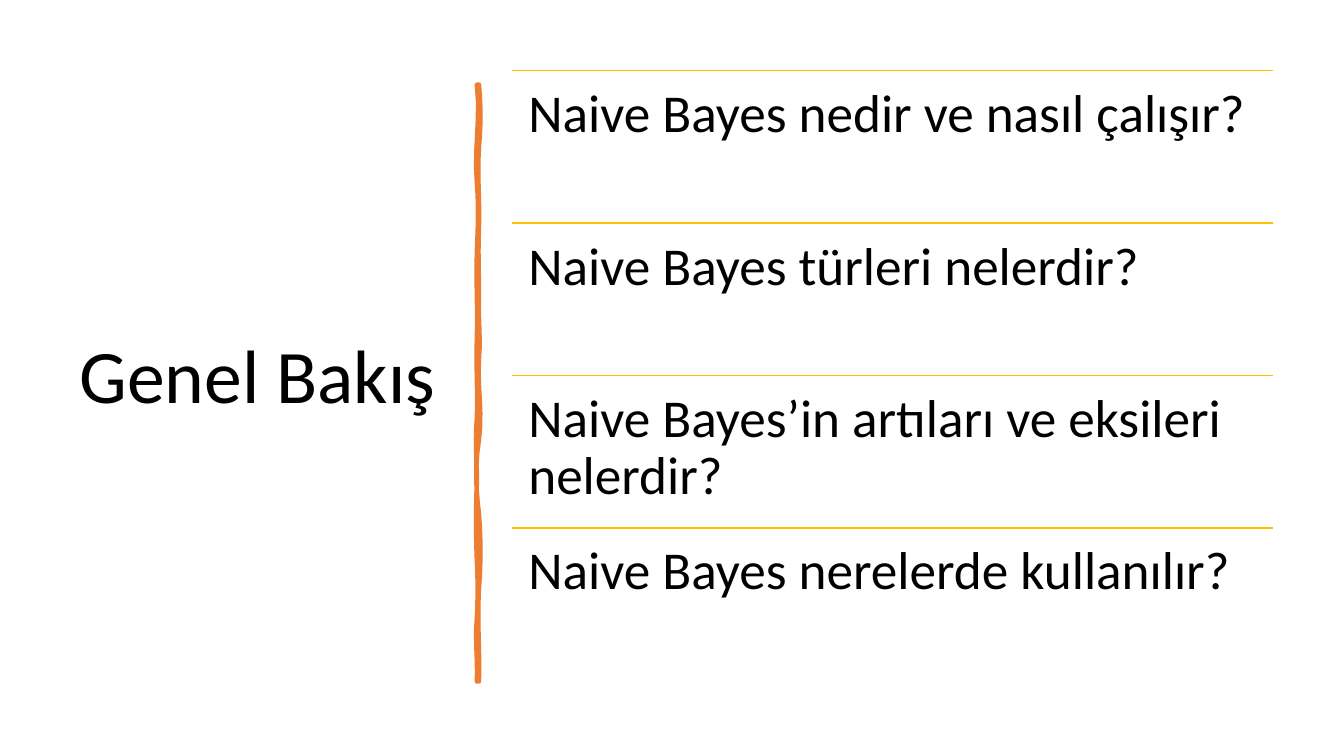
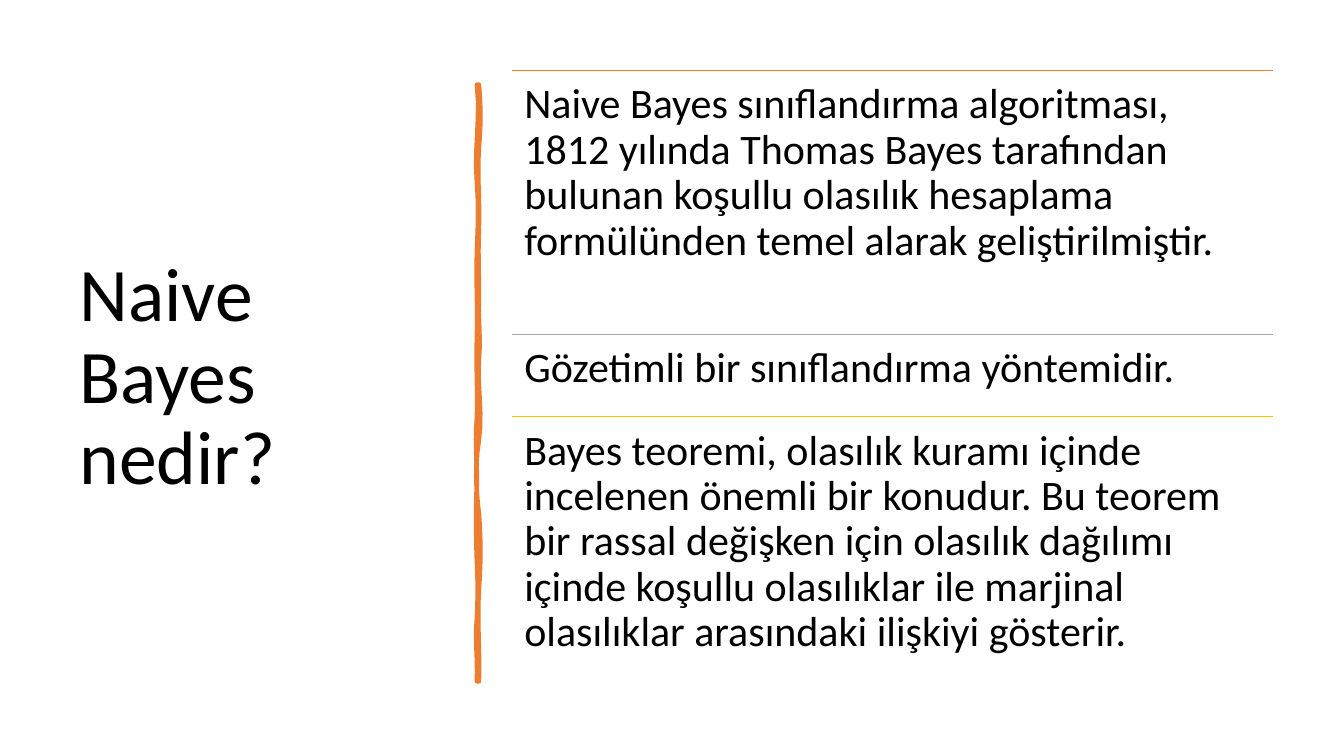
from itertools import accumulate

from lxml.etree import SubElement
from pptx import Presentation
from pptx.dml.color import RGBColor
from pptx.enum.shapes import MSO_CONNECTOR
from pptx.enum.text import MSO_ANCHOR as Anchor, MSO_AUTO_SIZE as AutoSize, PP_ALIGN as Align
from pptx.oxml.ns import qn
from pptx.util import Inches, Pt

FONT = "Calibri"
BLACK, ORANGE, GRAY, GOLD = "000000", "ED7D31", "A5A5A5", "FFC000"

TITLE_BOX = (0.69, 0.7, 3.74, 6.11)
LIST_LEFT, LIST_TOP, LIST_WIDTH, LIST_HEIGHT = 5.08, 0.7, 7.55, 6.05

# Brush stroke edges: two bends (x) and the end (y) of each curve
STROKE_TOP, STROKE_LEFT, STROKE_RIGHT = 0.84, 4.73, 4.75
RIGHT_EDGE = [
    (4.77, 4.77, 1.46), (4.73, 4.76, 2.26), (4.74, 4.75, 2.94), (4.74, 4.77, 3.56),
    (4.73, 4.79, 4.36), (4.71, 4.72, 5.1), (4.77, 4.77, 5.84), (4.73, 4.76, 6.76),
]
LEFT_EDGE = [
    (4.74, 4.71, 6.13), (4.74, 4.74, 5.57), (4.72, 4.72, 4.77), (4.73, 4.71, 4.15),
    (4.74, 4.72, 3.35), (4.74, 4.72, 2.5), (4.74, 4.75, 1.81), (4.7, 4.77, 0.84),
]

# Title, text size, text inset, rows of (height share, rule colour, text)
TOPICS = [
    ("Genel Bakış", 38, 0.16, [
        (1, GOLD, "Naive Bayes nedir ve nasıl çalışır?"),
        (1, GOLD, "Naive Bayes türleri nelerdir?"),
        (1, GOLD, "Naive Bayes’in artıları ve eksileri nelerdir?"),
        (1, GOLD, "Naive Bayes nerelerde kullanılır?"),
    ]),
    ("Naive Bayes nedir?", 30, 0.12, [
        (3.2, ORANGE, "Naive Bayes sınıflandırma algoritması, 1812 yılında Thomas Bayes "
                      "tarafından bulunan koşullu olasılık hesaplama formülünden temel "
                      "alarak geliştirilmiştir."),
        (1, GRAY, "Gözetimli bir sınıflandırma yöntemidir."),
        (3.2, GOLD, "Bayes teoremi, olasılık kuramı içinde incelenen önemli bir konudur. "
                    "Bu teorem bir rassal değişken için olasılık dağılımı içinde koşullu "
                    "olasılıklar ile marjinal olasılıklar arasındaki ilişkiyi gösterir."),
    ]),
]


def color(hex_code):
    return RGBColor.from_string(hex_code)


def write(frame, text, size, anchor):
    frame.text = text
    frame.word_wrap = True
    frame.auto_size = AutoSize.NONE
    frame.vertical_anchor = anchor
    paragraph = frame.paragraphs[0]
    paragraph.alignment = Align.LEFT
    paragraph.line_spacing = 0.9
    font = paragraph.runs[0].font
    font.name, font.size = FONT, Pt(size)
    font.color.rgb = color(BLACK)


def add_title(slide, text):
    title = slide.shapes.title
    title.left, title.top, title.width, title.height = map(Inches, TITLE_BOX)
    write(title.text_frame, text, 54, Anchor.MIDDLE)


def edge_points(x, y, curves, steps=6):
    """Sample cubic curves that all start and end at the same x."""
    points = []
    for bend_1, bend_2, end in curves:
        for step in range(1, steps + 1):
            t = step / steps
            pull_1, pull_2 = 3 * t * (1 - t) ** 2, 3 * t ** 2 * (1 - t)
            sway = pull_1 * (bend_1 - x) + pull_2 * (bend_2 - x)
            points.append((Inches(x + sway), Inches(y + t * (end - y))))
        y = end
    return points


def add_brush_stroke(slide):
    bottom = RIGHT_EDGE[-1][-1]
    outline = slide.shapes.build_freeform(Inches(STROKE_RIGHT), Inches(STROKE_TOP))
    outline.add_line_segments(
        edge_points(STROKE_RIGHT, STROKE_TOP, RIGHT_EDGE)
        + [(Inches(STROKE_LEFT), Inches(bottom))]
        + edge_points(STROKE_LEFT, bottom, LEFT_EDGE))
    stroke = outline.convert_to_shape()
    stroke.shadow.inherit = False
    stroke.fill.solid()
    stroke.fill.fore_color.rgb = color(ORANGE)
    stroke.line.color.rgb = color(ORANGE)
    stroke.line.width = Pt(3.25)
    SubElement(stroke.line._get_or_add_ln(), qn("a:round"))


def add_rule(slide, y, hex_code):
    left, right = Inches(LIST_LEFT), Inches(LIST_LEFT + LIST_WIDTH)
    rule = slide.shapes.add_connector(MSO_CONNECTOR.STRAIGHT, left, Inches(y), right, Inches(y))
    rule.line.color.rgb = color(hex_code)
    rule.line.width = Pt(1)
    SubElement(rule._element.spPr, qn("a:effectLst"))


def add_entry(slide, y, height, text, size, inset):
    entry = slide.shapes.add_textbox(*map(Inches, (LIST_LEFT, y, LIST_WIDTH, height)))
    frame = entry.text_frame
    frame.margin_left = frame.margin_right = Inches(inset)
    frame.margin_top = frame.margin_bottom = Inches(inset)
    write(frame, text, size, Anchor.TOP)


def add_ruled_list(slide, rows, size, inset):
    shares = [share for share, _, _ in rows]
    unit = LIST_HEIGHT / sum(shares)
    starts = accumulate(shares, initial=0)
    for start, (share, rule_color, text) in zip(starts, rows):
        y = LIST_TOP + start * unit
        add_rule(slide, y, rule_color)
        add_entry(slide, y, share * unit, text, size, inset)


def main():
    deck = Presentation()
    deck.slide_width, deck.slide_height = Inches(13.33), Inches(7.5)
    title_only = deck.slide_layouts.get_by_name("Title Only")
    for heading, size, inset, rows in TOPICS:
        slide = deck.slides.add_slide(title_only)
        add_title(slide, heading)
        add_brush_stroke(slide)
        add_ruled_list(slide, rows, size, inset)
    deck.save("out.pptx")


if __name__ == "__main__":
    main()
